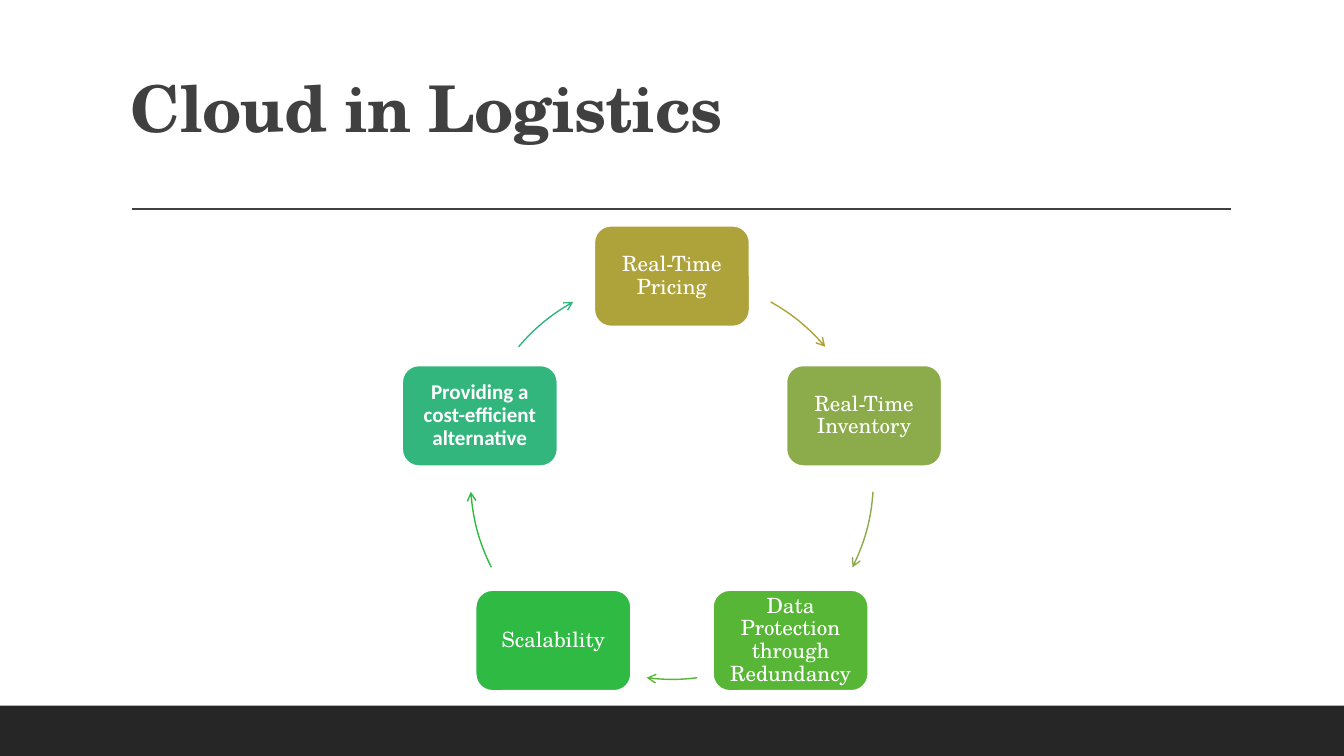
from dataclasses import dataclass
from math import cos, radians, sin, tan

from lxml import etree
from pptx import Presentation
from pptx.dml.color import RGBColor
from pptx.enum.shapes import MSO_CONNECTOR, MSO_SHAPE
from pptx.enum.text import MSO_ANCHOR, MSO_AUTO_SIZE, PP_ALIGN
from pptx.oxml.ns import qn
from pptx.util import Pt

PX = 9525
WIDTH, HEIGHT = 1280, 720
MID_X, MID_Y, RADIUS = 640, 455, 192
BOX_W, BOX_H, INSET = 148, 96, 6

SERIF, SANS = "TeX Gyre Schola", "Calibri"
WHITE = RGBColor(0xFF, 0xFF, 0xFF)
GREY = RGBColor(0x40, 0x40, 0x40)
BLACK = RGBColor(0x26, 0x26, 0x26)
GOLD = RGBColor(0xAE, 0xA3, 0x3A)
OLIVE = RGBColor(0x8C, 0xAB, 0x4A)
LEAF = RGBColor(0x57, 0xB6, 0x36)
GREEN = RGBColor(0x2E, 0xBA, 0x43)
TEAL = RGBColor(0x33, 0xB6, 0x7D)

RECT, ROUND = MSO_SHAPE.RECTANGLE, MSO_SHAPE.ROUNDED_RECTANGLE
STRAIGHT = MSO_CONNECTOR.STRAIGHT
LEFT, CENTER = PP_ALIGN.LEFT, PP_ALIGN.CENTER
MIDDLE, NO_FIT = MSO_ANCHOR.MIDDLE, MSO_AUTO_SIZE.NONE


@dataclass(frozen=True)
class Step:
    """A box of the cycle and the arc, in degrees, to the next box."""
    text: str
    color: RGBColor
    start: float
    end: float
    font: str = SERIF
    bold: bool = False


STEPS = [
    Step("Real-Time Pricing", GOLD, -60.7, -40.5),
    Step("Real-Time Inventory", OLIVE, 4, 26.4),
    Step("Data Protection through Redundancy", LEAF, 82.8, 97.2),
    Step("Scalability", GREEN, 153.6, 176),
    Step("Providing a cost-efficient alternative", TEAL, 220.5, 240.7, SANS, True),
]


def px(*values: int) -> list[int]:
    return [value * PX for value in values]


def style(para, font: str, size: int, color: RGBColor, bold: bool, align) -> None:
    para.alignment = align
    para.line_spacing = 0.9
    para.font.name = font
    para.font.size = Pt(size)
    para.font.bold = bold
    para.font.color.rgb = color


def add_title(slide, text: str) -> None:
    title = slide.shapes.title
    title.left, title.top, title.width, title.height = px(115, 30, 1056, 153)
    frame = title.text_frame
    frame.text = text
    frame.auto_size = NO_FIT
    frame.vertical_anchor = MIDDLE
    para = frame.paragraphs[0]
    style(para, SERIF, 46, GREY, True, LEFT)
    para.runs[0]._r.get_or_add_rPr().set("spc", "-50")


def add_frame(slide) -> None:
    """Draw the dark foot band and the rule under the title."""
    band = slide.shapes.add_shape(RECT, *px(0, 672, WIDTH, 48))
    band.shadow.inherit = False
    band.fill.solid()
    band.fill.fore_color.rgb = BLACK
    band.line.fill.background()
    rule = slide.shapes.add_connector(STRAIGHT, *px(126, 199, 1172, 199))
    rule.line.color.rgb = GREY
    rule.line.width = Pt(1)
    etree.SubElement(rule._element.spPr, qn("a:effectLst"))


def add_box(slide, step: Step, angle: float) -> None:
    turn = radians(angle)
    x = MID_X + RADIUS * cos(turn) - BOX_W / 2
    y = MID_Y + RADIUS * sin(turn) - BOX_H / 2
    box = slide.shapes.add_shape(ROUND, *px(round(x), round(y), BOX_W, BOX_H))
    box.shadow.inherit = False
    box.fill.solid()
    box.fill.fore_color.rgb = step.color
    box.line.color.rgb = WHITE
    box.line.width = Pt(1.25)
    frame = box.text_frame
    frame.word_wrap = True
    frame.vertical_anchor = MIDDLE
    frame.margin_left = frame.margin_right = INSET * PX
    frame.margin_top = frame.margin_bottom = INSET * PX
    frame.text = step.text
    style(frame.paragraphs[0], step.font, 15, WHITE, step.bold, CENTER)


def curve(start: float, end: float) -> list[tuple[float, float]]:
    """Return the four Bézier points of an arc of the unit circle."""
    a, b = radians(start), radians(end)
    k = 4 / 3 * tan((b - a) / 4)
    return [
        (cos(a), sin(a)),
        (cos(a) - k * sin(a), sin(a) + k * cos(a)),
        (cos(b) + k * sin(b), sin(b) - k * cos(b)),
        (cos(b), sin(b)),
    ]


def add_arc(slide, step: Step) -> None:
    """Draw a curved arrow in a frame that spans the whole cycle."""
    left, top, right, foot = px(
        MID_X - RADIUS, MID_Y - RADIUS, MID_X + RADIUS, MID_Y + RADIUS)
    outline = slide.shapes.build_freeform(left, top, scale=1)
    outline.add_line_segments([(right, foot)], close=False)
    arc = outline.convert_to_shape()
    track = next(arc._element.iter(qn("a:path")))
    for part in list(track):
        track.remove(part)
    move = etree.SubElement(track, qn("a:moveTo"))
    bend = etree.SubElement(track, qn("a:cubicBezTo"))
    points = curve(step.start, step.end)
    for parent, (x, y) in zip((move, bend, bend, bend), points):
        spot = {"x": x, "y": y}
        etree.SubElement(parent, qn("a:pt"), {
            axis: str(round((1 + value) * RADIUS * PX)) for axis, value in spot.items()})
    arc.shadow.inherit = False
    arc.fill.background()
    arc.line.color.rgb = step.color
    arc.line.width = Pt(1)
    etree.SubElement(arc.line._get_or_add_ln(), qn("a:tailEnd"), type="arrow")


def main() -> None:
    deck = Presentation()
    deck.slide_width, deck.slide_height = px(WIDTH, HEIGHT)
    slide = deck.slides.add_slide(deck.slide_layouts[5])
    add_frame(slide)
    add_title(slide, "Cloud in Logistics")
    for i, step in enumerate(STEPS):
        add_box(slide, step, 360 / len(STEPS) * i - 90)
        add_arc(slide, step)
    deck.save("out.pptx")


if __name__ == "__main__":
    main()
